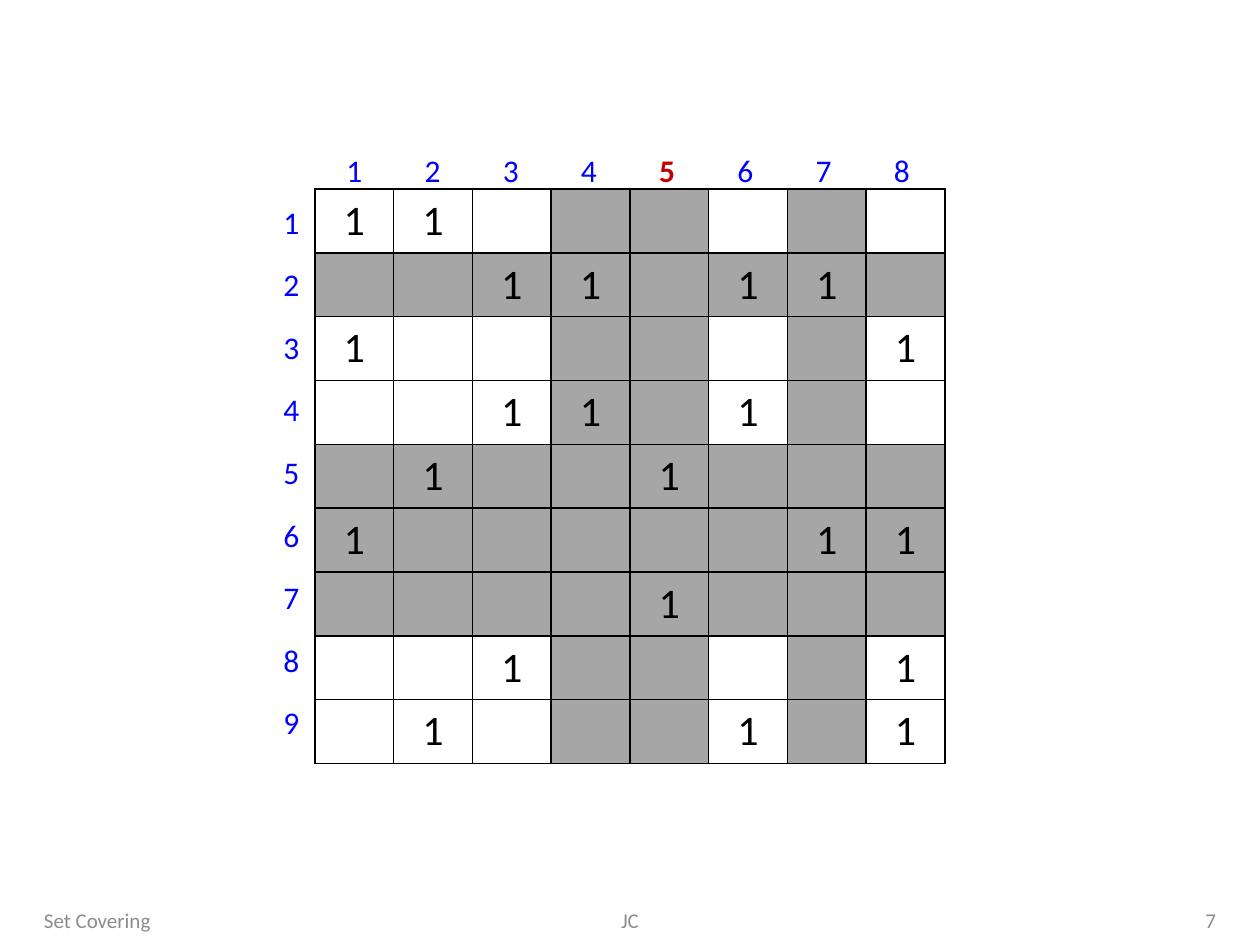
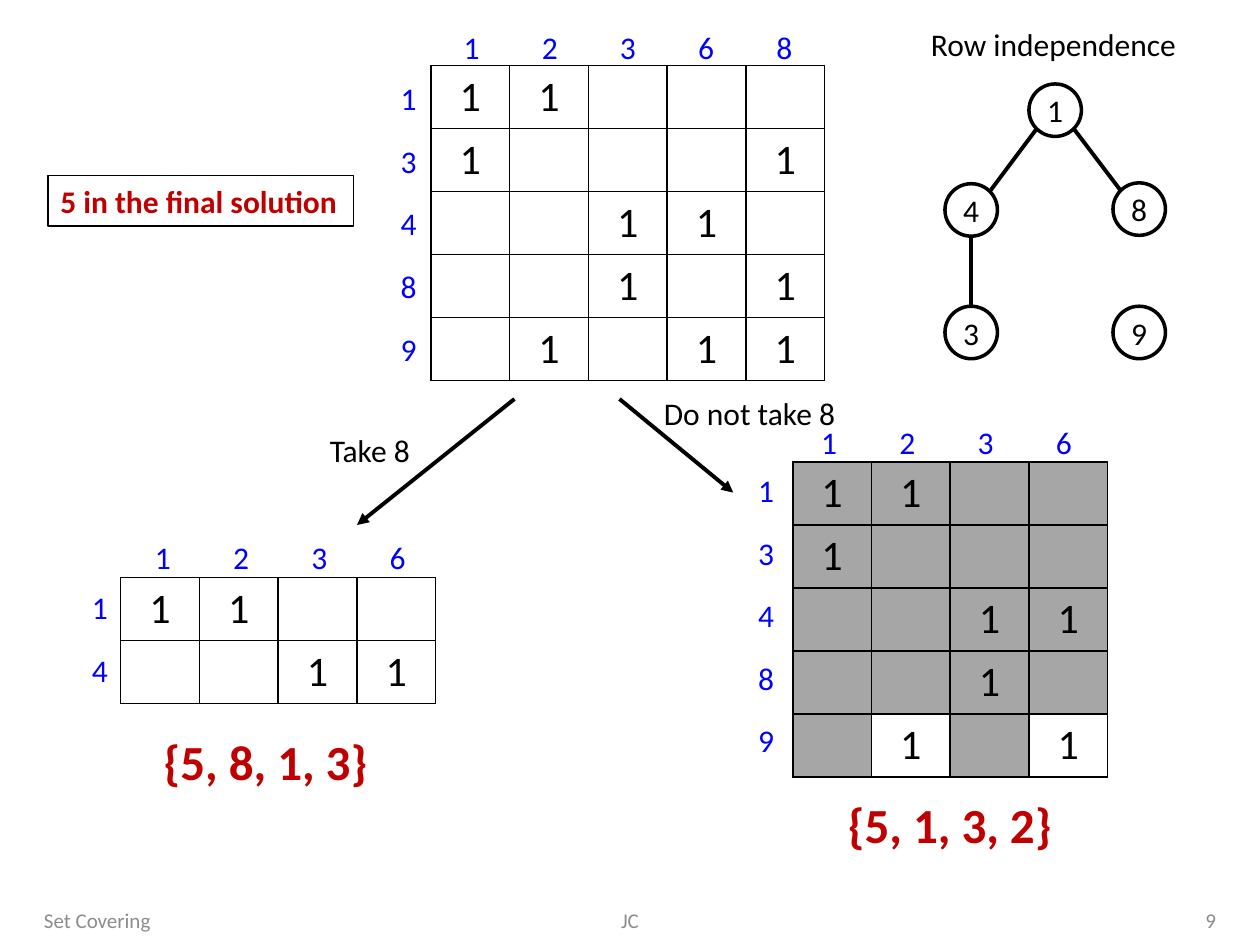
from dataclasses import dataclass
from math import hypot

from lxml.etree import SubElement
from pptx import Presentation
from pptx.dml.color import RGBColor
from pptx.enum.shapes import MSO_CONNECTOR, MSO_SHAPE
from pptx.enum.text import MSO_ANCHOR, PP_ALIGN
from pptx.oxml.ns import qn
from pptx.slide import Slide
from pptx.table import _Cell
from pptx.text.text import TextFrame
from pptx.util import Pt


@dataclass(frozen=True)
class Theme:
    font: str = "Calibri"
    black: str = "000000"
    white: str = "FFFFFF"
    shade: str = "A6A6A6"
    index: str = "0000FF"
    accent: str = "C00000"
    footer: str = "8C8C8C"
    footer_size: float = 12
    label_size: float = 18
    cell_size: float = 24
    answer_size: float = 28
    border: float = 1
    ring: float = 2
    stroke: float = 2.25


THEME = Theme()
COVERED_BY = {
    1: {1, 2}, 2: {3, 4, 6, 7}, 3: {1, 8},
    4: {3, 4, 6}, 5: {2, 5}, 6: {1, 7, 8},
    7: {5}, 8: {3, 8}, 9: {2, 6, 8},
}
COLUMN_WIDTH = 45
COLUMN_LABEL_PITCH = 44.7
ROW_LABEL_PITCH = 35.75
ROW_LABEL_SHIFT = 36
LABEL_WIDTH = 23.5
LABEL_HEIGHT = 29
NODE_SIZE = 30


@dataclass(frozen=True)
class Caption:
    text: str
    left: float
    top: float
    width: float
    height: float = LABEL_HEIGHT
    size: float = THEME.label_size
    color: str = THEME.black
    bold: bool = False
    align: PP_ALIGN = PP_ALIGN.LEFT
    anchor: MSO_ANCHOR = MSO_ANCHOR.TOP
    wrap: bool = False
    framed: bool = False


@dataclass(frozen=True)
class CoverGrid:
    left: float
    top: float
    rows: tuple[int, ...]
    columns: tuple[int, ...]
    column_labels_left: float
    column_labels_top: float
    row_labels_top: float
    row_height: float = 36
    shaded_rows: tuple[int, ...] = ()
    shaded_columns: tuple[int, ...] = ()
    chosen_column: int = 0


@dataclass(frozen=True)
class Node:
    number: int
    left: float
    top: float

    def centre(self) -> tuple[float, float]:
        return self.left + NODE_SIZE / 2, self.top + NODE_SIZE / 2


@dataclass(frozen=True)
class Edge:
    start: int
    end: int
    across: int
    down: int


@dataclass(frozen=True)
class Line:
    x1: float
    y1: float
    x2: float
    y2: float
    arrow: bool = False


def color(code: str) -> RGBColor:
    return RGBColor.from_string(code)


def write(frame: TextFrame, text: str, size: float, ink: str,
          bold: bool = False, align: PP_ALIGN = PP_ALIGN.CENTER) -> None:
    frame.text = text
    para = frame.paragraphs[0]
    para.alignment = align
    for span in para.runs:
        span.font.name = THEME.font
        span.font.size = Pt(size)
        span.font.bold = bold
        span.font.color.rgb = color(ink)


def draw_caption(page: Slide, caption: Caption) -> None:
    box = page.shapes.add_textbox(Pt(caption.left), Pt(caption.top),
                                  Pt(caption.width), Pt(caption.height))
    frame = box.text_frame
    frame.word_wrap = caption.wrap
    frame.vertical_anchor = caption.anchor
    write(frame, caption.text, caption.size, caption.color, caption.bold, caption.align)
    if caption.framed:
        box.line.color.rgb = color(THEME.black)
        box.line.width = Pt(0.75)


def draw_footer(page: Slide, number: int) -> None:
    for text, left, width, align in (
        ("Set Covering", 18, 168, PP_ALIGN.LEFT),
        ("JC", 246, 228, PP_ALIGN.CENTER),
        (str(number), 534, 168, PP_ALIGN.RIGHT),
    ):
        draw_caption(page, Caption(text, left, 511, width, size=THEME.footer_size,
                                   color=THEME.footer, align=align,
                                   anchor=MSO_ANCHOR.MIDDLE, wrap=True))


def border_cell(cell: _Cell) -> None:
    properties = cell._tc.get_or_add_tcPr()
    for side in ("a:lnL", "a:lnR", "a:lnT", "a:lnB"):
        line = SubElement(properties, qn(side), w=str(Pt(THEME.border)))
        fill = SubElement(line, qn("a:solidFill"))
        SubElement(fill, qn("a:srgbClr"), val=THEME.black)


def draw_grid(page: Slide, grid: CoverGrid) -> None:
    table = page.shapes.add_table(
        len(grid.rows), len(grid.columns), Pt(grid.left), Pt(grid.top),
        Pt(COLUMN_WIDTH * len(grid.columns)), Pt(grid.row_height * len(grid.rows)),
    ).table
    table.first_row = False
    table.horz_banding = False
    for column in table.columns:
        column.width = Pt(COLUMN_WIDTH)
    for i, row in enumerate(grid.rows):
        table.rows[i].height = Pt(grid.row_height)
        for j, column in enumerate(grid.columns):
            cell = table.cell(i, j)
            cell.margin_top = cell.margin_bottom = 0
            cell.vertical_anchor = MSO_ANCHOR.MIDDLE
            border_cell(cell)
            shaded = row in grid.shaded_rows or column in grid.shaded_columns
            cell.fill.solid()
            cell.fill.fore_color.rgb = color(THEME.shade if shaded else THEME.white)
            if column in COVERED_BY[row]:
                write(cell.text_frame, "1", THEME.cell_size, THEME.black)
    for j, column in enumerate(grid.columns):
        chosen = column == grid.chosen_column
        draw_caption(page, Caption(
            str(column), grid.column_labels_left + j * COLUMN_LABEL_PITCH,
            grid.column_labels_top, LABEL_WIDTH,
            color=THEME.accent if chosen else THEME.index, bold=chosen))
    for i, row in enumerate(grid.rows):
        draw_caption(page, Caption(
            str(row), grid.column_labels_left - ROW_LABEL_SHIFT,
            grid.row_labels_top + i * ROW_LABEL_PITCH, LABEL_WIDTH, color=THEME.index))


def draw_line(page: Slide, line: Line) -> None:
    connector = page.shapes.add_connector(
        MSO_CONNECTOR.STRAIGHT, Pt(line.x1), Pt(line.y1), Pt(line.x2), Pt(line.y2))
    connector.line.color.rgb = color(THEME.black)
    connector.line.width = Pt(THEME.stroke)
    if line.arrow:
        SubElement(connector.line._get_or_add_ln(), qn("a:tailEnd"), type="triangle")
    SubElement(connector._element.spPr, qn("a:effectLst"))


def draw_node(page: Slide, node: Node) -> None:
    circle = page.shapes.add_shape(MSO_SHAPE.OVAL, Pt(node.left), Pt(node.top),
                                   Pt(NODE_SIZE), Pt(NODE_SIZE))
    circle.shadow.inherit = False
    circle.fill.solid()
    circle.fill.fore_color.rgb = color(THEME.white)
    circle.line.color.rgb = color(THEME.black)
    circle.line.width = Pt(THEME.ring)
    circle.text_frame.word_wrap = False
    circle.text_frame.vertical_anchor = MSO_ANCHOR.MIDDLE
    write(circle.text_frame, str(node.number), THEME.label_size, THEME.black)


def draw_graph(page: Slide, nodes: tuple[Node, ...], edges: tuple[Edge, ...]) -> None:
    centres = {node.number: node.centre() for node in nodes}
    for node in nodes:
        draw_node(page, node)
    for edge in edges:
        reach = NODE_SIZE / 2 / hypot(edge.across, edge.down)
        dx, dy = reach * edge.across, reach * edge.down
        (x1, y1), (x2, y2) = centres[edge.start], centres[edge.end]
        draw_line(page, Line(x1 + dx, y1 + dy, x2 - dx, y2 - dy))


REDUCTION = CoverGrid(180, 108, tuple(range(1, 10)), tuple(range(1, 9)),
                      190.8, 82.8, 112.3, row_height=36.5,
                      shaded_rows=(2, 5, 6, 7), shaded_columns=(4, 5, 7),
                      chosen_column=5)
BRANCHES = (
    CoverGrid(246.25, 37.5, (1, 3, 4, 8, 9), (1, 2, 3, 6, 8), 257.8, 12.2, 41.8),
    CoverGrid(69, 330, (1, 4), (1, 2, 3, 6), 81.4, 303.8, 332.6),
    CoverGrid(453, 264, (1, 3, 4, 8, 9), (1, 2, 3, 6), 462.2, 238.3, 265.7,
              shaded_rows=(1, 3, 4, 8), shaded_columns=(1, 3)),
)
BRANCH_ARROWS = (
    Line(294, 228, 204, 300, arrow=True),
    Line(354, 228, 419, 281.5, arrow=True),
)
BRANCH_CAPTIONS = (
    Caption("Take 8", 181.4, 242.6, 60.5),
    Caption("Do not take 8", 372.3, 221.8, 113.5),
    Caption("{5, 8, 1, 3}", 86.4, 414.7, 132.5, 41, THEME.answer_size, THEME.accent, True),
    Caption("{5, 1, 3, 2}", 477.4, 450.7, 132.5, 41, THEME.answer_size, THEME.accent, True),
    Caption("Row independence", 524.9, 10.8, 156),
    Caption("5 in the final solution", 27.4, 100.2, 174.5, color=THEME.accent,
            bold=True, framed=True),
)
ROW_NODES = (
    Node(1, 588, 48), Node(4, 540, 105), Node(3, 540, 175),
    Node(8, 636, 104.5), Node(9, 636, 175),
)
ROW_EDGES = (Edge(1, 8, 1, 1), Edge(4, 3, 0, 1), Edge(1, 4, -1, 1))


def main() -> None:
    deck = Presentation()
    deck.slide_width, deck.slide_height = Pt(720), Pt(540)
    blank = deck.slide_layouts[6]

    reduction = deck.slides.add_slide(blank)
    draw_footer(reduction, 7)
    draw_grid(reduction, REDUCTION)

    branching = deck.slides.add_slide(blank)
    draw_footer(branching, 9)
    for grid in BRANCHES:
        draw_grid(branching, grid)
    for arrow in BRANCH_ARROWS:
        draw_line(branching, arrow)
    draw_graph(branching, ROW_NODES, ROW_EDGES)
    for caption in BRANCH_CAPTIONS:
        draw_caption(branching, caption)

    deck.save("out.pptx")


if __name__ == "__main__":
    main()
